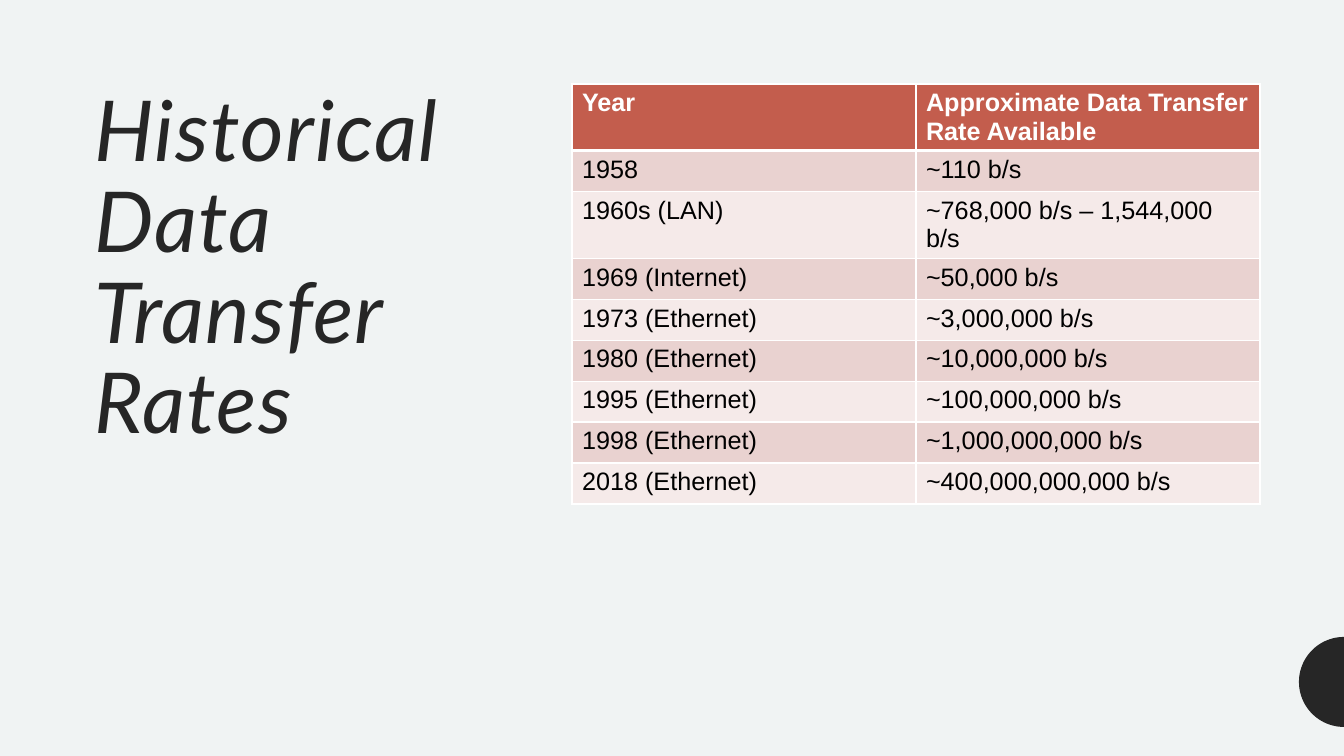
"""Build the slide on historical data transfer rates."""
from dataclasses import dataclass
from math import cos, pi, sin

from lxml.etree import SubElement
from pptx import Presentation
from pptx.dml.color import RGBColor
from pptx.enum.text import MSO_ANCHOR, MSO_AUTO_SIZE, PP_ALIGN
from pptx.oxml.ns import qn
from pptx.util import Emu, Pt


@dataclass(frozen=True)
class Theme:
    background: str = "F0F3F3"
    dark: str = "262626"
    header: str = "C35D4D"
    bands: tuple = ("E9D2D0", "F5EAE9")
    white: str = "FFFFFF"
    black: str = "000000"
    title_font: str = "Lato"
    table_font: str = "Arial"
    title_size: int = 60
    table_size: int = 18


def px(n):
    """Turn slide pixels into EMU."""
    return Emu(round(n * 914400 / 100.8))


def add_border(cell, side, width):
    """Draw one side of a table cell in white."""
    tc_pr = cell._tc.get_or_add_tcPr()
    ln = SubElement(tc_pr, qn(f"a:ln{side}"), w=str(Pt(width)))
    fill = SubElement(ln, qn("a:solidFill"))
    SubElement(fill, qn("a:srgbClr"), val=theme.white)


theme = Theme()
rates = [
    ("Year", "Approximate Data Transfer Rate Available"),
    ("1958", "~110 b/s"),
    ("1960s (LAN)", "~768,000 b/s – 1,544,000 b/s"),
    ("1969 (Internet)", "~50,000 b/s"),
    ("1973 (Ethernet)", "~3,000,000 b/s"),
    ("1980 (Ethernet)", "~10,000,000 b/s"),
    ("1995 (Ethernet)", "~100,000,000 b/s"),
    ("1998 (Ethernet)", "~1,000,000,000 b/s"),
    ("2018 (Ethernet)", "~400,000,000,000 b/s"),
]

prs = Presentation()
prs.slide_width, prs.slide_height = px(1344), px(756)
s = prs.slides.add_slide(prs.slide_layouts[5])
s.background.fill.solid()
s.background.fill.fore_color.rgb = RGBColor.from_string(theme.background)

center_x, center_y, radius, steps = 1344, 682, 45, 48
arc = [
    (px(center_x - radius * sin(pi * i / steps)), px(center_y - radius * cos(pi * i / steps)))
    for i in range(steps + 1)
]
builder = s.shapes.build_freeform(*arc[0])
builder.add_line_segments(arc[1:], close=True)
half_circle = builder.convert_to_shape()
half_circle.shadow.inherit = False
half_circle.fill.solid()
half_circle.fill.fore_color.rgb = RGBColor.from_string(theme.dark)
half_circle.line.fill.background()

title = s.shapes.title
title.left, title.top, title.width, title.height = px(84), px(84), px(422), px(524)
tf = title.text_frame
tf.text = "Historical Data Transfer Rates"
tf.word_wrap = True
tf.auto_size = MSO_AUTO_SIZE.NONE
tf.vertical_anchor = MSO_ANCHOR.TOP
p = tf.paragraphs[0]
p.alignment = PP_ALIGN.LEFT
p.line_spacing = 0.9
r = p.runs[0]
r.font.name = theme.title_font
r.font.size = Pt(theme.title_size)
r.font.italic = True
r.font.color.rgb = RGBColor.from_string(theme.dark)
r.font._element.set("spc", "100")

row_height, column_width = 41, 344
table = s.shapes.add_table(
    len(rates), 2, px(572), px(84), px(2 * column_width), px(len(rates) * row_height)
).table
for column in table.columns:
    column.width = px(column_width)
for i, row in enumerate(rates):
    is_header = i == 0
    table.rows[i].height = px(row_height)
    for j, text in enumerate(row):
        cell = table.cell(i, j)
        for side in "LRTB":
            heavy = (is_header and side == "B") or (i == 1 and side == "T")
            add_border(cell, side, 3 if heavy else 1)
        cell.fill.solid()
        color = theme.header if is_header else theme.bands[(i - 1) % 2]
        cell.fill.fore_color.rgb = RGBColor.from_string(color)
        p = cell.text_frame.paragraphs[0]
        p.text = text
        font = p.runs[0].font
        font.name = theme.table_font
        font.size = Pt(theme.table_size)
        font.bold = is_header
        font.color.rgb = RGBColor.from_string(theme.white if is_header else theme.black)

prs.save("out.pptx")
